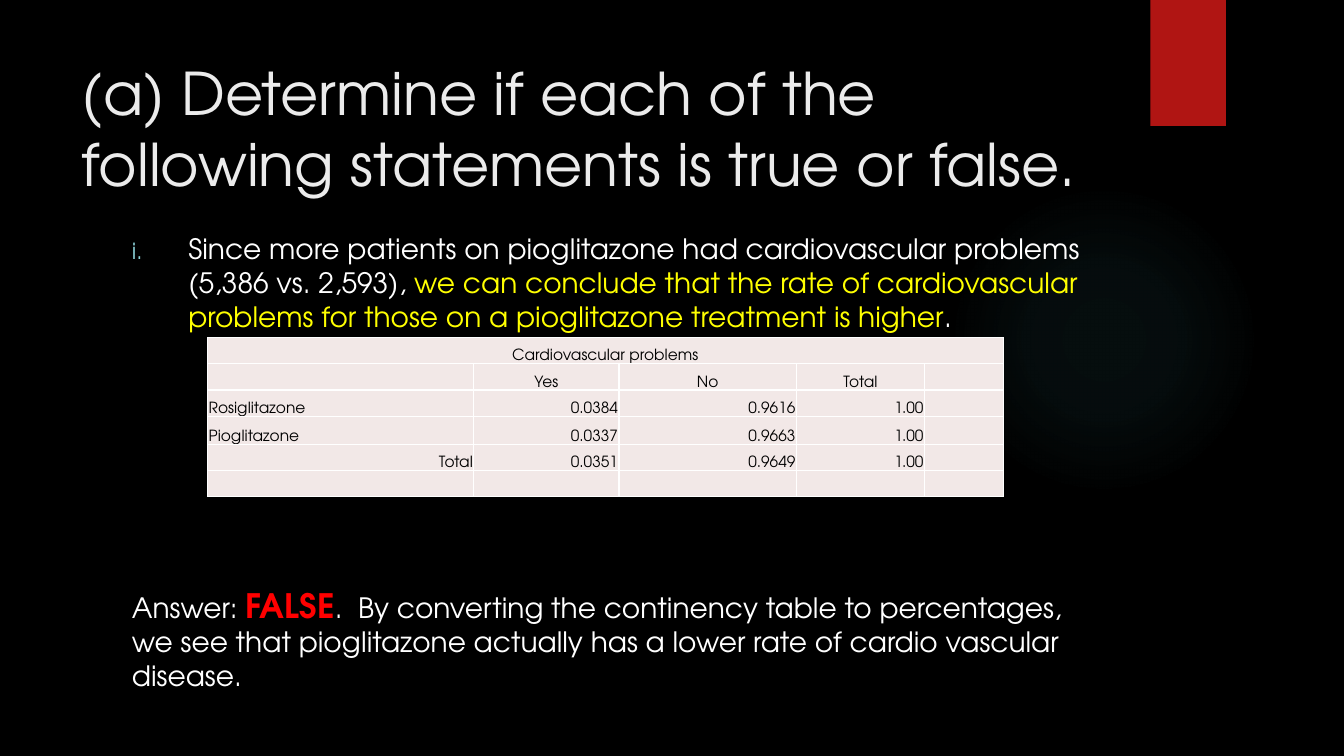
from lxml import etree
from pptx import Presentation, util as u
from pptx.dml.color import RGBColor
from pptx.enum import shapes, text
from pptx.oxml import parse_xml
from pptx.oxml.ns import nsdecls, qn

FONT = "TeX Gyre Adventor"
WIDTH, HEIGHT = u.Inches(13.33), u.Inches(7.5)


def color(hex_code):
    return RGBColor.from_string(hex_code)


def write(paragraph, pieces):
    """Fill a paragraph with (wording, size, colour, bold) pieces."""
    for wording, size, hex_code, bold in pieces:
        run = paragraph.add_run()
        run.text = wording
        run.font.name, run.font.size, run.font.bold = FONT, u.Pt(size), bold
        run.font.color.rgb = color(hex_code)


deck = Presentation()
deck.slide_width, deck.slide_height = WIDTH, HEIGHT
slide = deck.slides.add_slide(deck.slide_layouts[6])
slide.background.fill.solid()
slide.background.fill.fore_color.rgb = color("000000")

# Faint teal glow and red tab
glow = slide.shapes.add_shape(
    shapes.MSO_SHAPE.OVAL, u.Inches(9.41), u.Inches(1.83), u.Inches(3.08), u.Inches(3.08))
tab = slide.shapes.add_shape(
    shapes.MSO_SHAPE.RECTANGLE, u.Inches(11.41), 0, u.Inches(0.75), HEIGHT // 6)
for decoration in (glow, tab):
    decoration.shadow.inherit = False
    decoration.line.fill.background()
tab.fill.solid()
tab.fill.fore_color.rgb = color("B01513")

stops = "".join(
    f'<a:gs pos="{position * 1000}"><a:srgbClr val="50B9C1">'
    f'<a:alpha val="{opacity * 1000}"/></a:srgbClr></a:gs>'
    for position, opacity in ((0, 7), (36, 6), (69, 0), (100, 0)))
glow_fill = parse_xml(
    f'<a:gradFill {nsdecls("a")}><a:gsLst>{stops}</a:gsLst><a:path path="circle">'
    '<a:fillToRect l="50000" t="50000" r="50000" b="50000"/></a:path></a:gradFill>')
glow._element.spPr.find(qn("a:prstGeom")).addnext(glow_fill)

# Title
title = slide.shapes.add_textbox(
    u.Inches(0.71), u.Inches(0.5), u.Inches(10.29), u.Inches(1.53)).text_frame
title.word_wrap = True
title.vertical_anchor = text.MSO_ANCHOR.MIDDLE
write(title.paragraphs[0], [
    ("(a) Determine if each of the following statements is true or false.", 42, "EBEBEB", False)])

# Statement and answer
body = slide.shapes.add_textbox(
    u.Inches(1.21), u.Inches(2.25), u.Inches(9.78), u.Inches(4.59)).text_frame
body.word_wrap = True
statement, answer = body.paragraphs[0], body.add_paragraph()
write(statement, [
    ("Since more patients on pioglitazone had cardiovascular problems (5,386 vs. 2,593), ",
     20, "FFFFFF", False),
    ("we can conclude that the rate of cardiovascular problems for those on a "
     "pioglitazone treatment is higher", 20, "FFFF00", False),
    (".", 20, "FFFFFF", False)])
numbering = statement._p.get_or_add_pPr()
numbering.set("marL", str(u.Inches(0.56)))
numbering.set("indent", str(-u.Inches(0.56)))
for bullet in ('<a:buClr {}><a:srgbClr val="8AD0D6"/></a:buClr>',
               '<a:buSzPct {} val="80000"/>',
               f'<a:buFont {{}} typeface="{FONT}"/>',
               '<a:buAutoNum {} type="romanLcPeriod"/>'):
    numbering.append(parse_xml(bullet.format(nsdecls("a"))))

answer.space_before = u.Pt(180)
write(answer, [
    ("Answer: ", 20, "FFFFFF", False),
    ("FALSE", 24, "FF0000", True),
    (".  By converting the continency table to percentages, we see that pioglitazone "
     "actually has a lower rate of cardio vascular disease.", 20, "FFFFFF", False)])

# Table of rates
LEFT, CENTER, RIGHT = text.PP_ALIGN.LEFT, text.PP_ALIGN.CENTER, text.PP_ALIGN.RIGHT
rates = [
    ["Cardiovascular problems", "", "", "", ""],
    ["", "Yes", "No", "Total", ""],
    ["Rosiglitazone", "0.0384", "0.9616", "1.00", ""],
    ["Pioglitazone", "0.0337", "0.9663", "1.00", ""],
    ["Total", "0.0351", "0.9649", "1.00", ""],
    ["", "", "", "", ""],
]
column_widths = [2.64, 1.44, 1.76, 1.27, 0.78]
row_heights = [0.26, 0.26, 0.26, 0.28, 0.26, 0.26]
table = slide.shapes.add_table(
    len(rates), len(column_widths), u.Inches(2.06), u.Inches(3.35),
    u.Inches(sum(column_widths)), u.Inches(sum(row_heights))).table
for column, width in zip(table.columns, column_widths):
    column.width = u.Inches(width)
for row, height in zip(table.rows, row_heights):
    row.height = u.Inches(height)
table.cell(0, 0).merge(table.cell(0, len(column_widths) - 1))

for r, row in enumerate(rates):
    for c, wording in enumerate(row):
        cell = table.cell(r, c)
        cell.margin_left = cell.margin_right = cell.margin_top = u.Inches(0.01)
        cell.margin_bottom = 0
        cell.vertical_anchor = text.MSO_ANCHOR.BOTTOM
        cell.fill.solid()
        cell.fill.fore_color.rgb = color("F2E8E7")
        line = cell.text_frame.paragraphs[0]
        if r < 2:
            line.alignment = CENTER
        else:
            line.alignment = LEFT if c == 0 and wording != "Total" else RIGHT
        if wording:
            write(line, [(wording, 11, "000000", False)])
        else:
            etree.SubElement(line._p, qn("a:endParaRPr"), sz="1100")
        borders = cell._tc.get_or_add_tcPr()
        for place, side in enumerate(("lnL", "lnR", "lnT", "lnB")):
            borders.insert(place, parse_xml(
                f'<a:{side} {nsdecls("a")} w="12700"><a:solidFill>'
                f'<a:srgbClr val="FFFFFF"/></a:solidFill></a:{side}>'))

deck.save("out.pptx")
